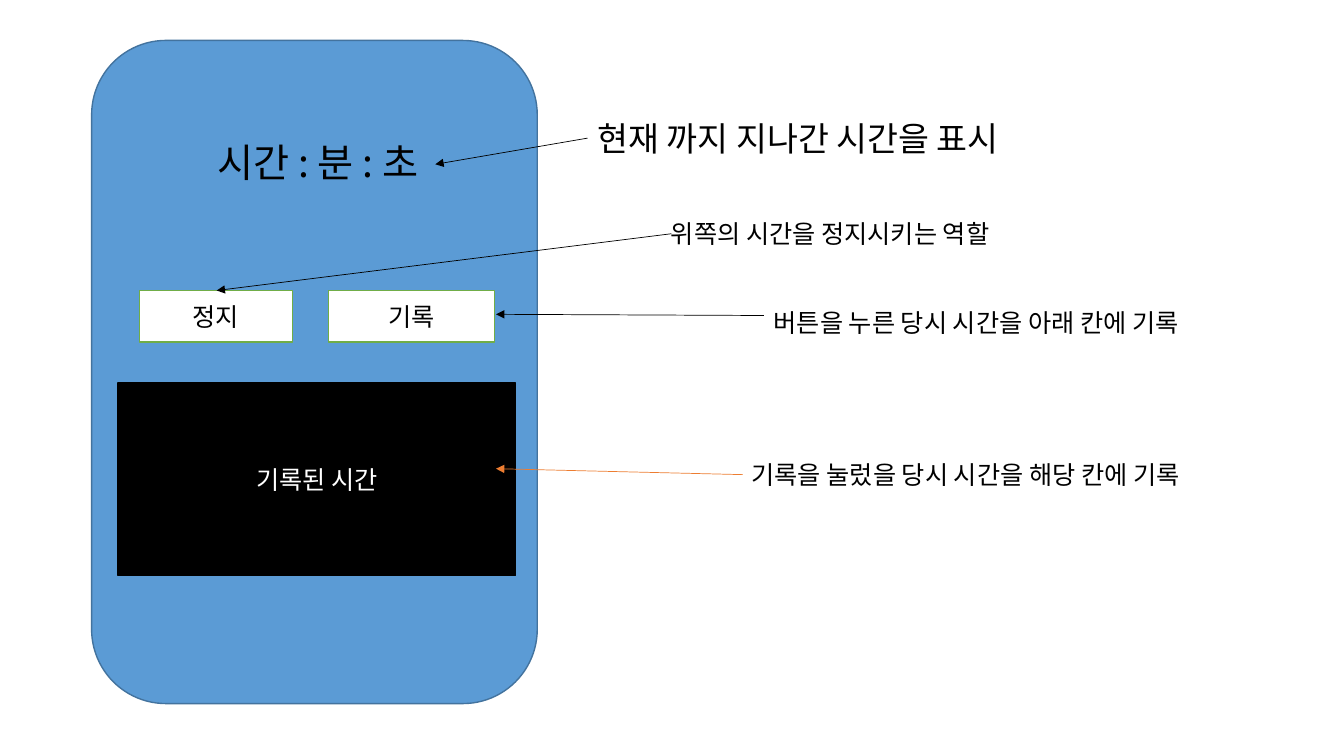
from dataclasses import dataclass

from lxml.etree import SubElement
from pptx import Presentation
from pptx.dml.color import RGBColor
from pptx.enum.shapes import MSO_CONNECTOR as Connector, MSO_SHAPE as Shape
from pptx.enum.text import MSO_ANCHOR as Anchor, PP_ALIGN as Align
from pptx.oxml.ns import qn
from pptx.util import Cm, Pt


@dataclass(frozen=True)
class Theme:
    font: str = "Noto Sans CJK KR"
    black: str = "000000"
    white: str = "FFFFFF"
    phone: str = "5B9BD5"
    phone_edge: str = "43739E"
    button_edge: str = "70AD47"
    accent: str = "ED7D31"
    clock_size: int = 28
    lead_size: int = 24
    body_size: int = 18
    edge_width: float = 1
    arrow_width: float = 0.5


theme = Theme()


def write(shape, text, size, color, align=Align.CENTER):
    shape.text_frame.text = text
    paragraph = shape.text_frame.paragraphs[0]
    paragraph.alignment = align
    run = paragraph.runs[0]
    run.font.name = theme.font
    run.font.size = Pt(size)
    run.font.color.rgb = RGBColor.from_string(color)
    SubElement(run.font._element, qn("a:ea"), typeface=theme.font)


def add_block(kind, box, fill, edge):
    shape = slide.shapes.add_shape(kind, *map(Cm, box))
    shape.shadow.inherit = False
    shape.fill.solid()
    shape.fill.fore_color.rgb = RGBColor.from_string(fill)
    shape.line.color.rgb = RGBColor.from_string(edge)
    shape.line.width = Pt(theme.edge_width)
    return shape


presentation = Presentation()
presentation.slide_width, presentation.slide_height = Cm(33.87), Cm(19.05)
slide = presentation.slides.add_slide(presentation.slide_layouts[6])

# Phone body
add_block(Shape.ROUNDED_RECTANGLE, (2.31, 1.02, 11.23, 16.71), theme.phone, theme.phone_edge)

# Clock
clock = slide.shapes.add_textbox(Cm(4.27), Cm(3.35), Cm(7.47), Cm(1.45))
clock.text_frame.word_wrap = True
write(clock, "시간 : 분 : 초", theme.clock_size, theme.black)

# Buttons and record panel
panels = [
    ("정지", (3.51, 7.32, 3.86, 1.3), theme.white, theme.button_edge, theme.black),
    ("기록", (8.28, 7.32, 4.19, 1.3), theme.white, theme.button_edge, theme.black),
    ("기록된 시간", (2.97, 9.65, 10.03, 4.85), theme.black, theme.black, theme.white),
]
for text, box, fill, edge, color in panels:
    panel = add_block(Shape.RECTANGLE, box, fill, edge)
    panel.text_frame.vertical_anchor = Anchor.MIDDLE
    write(panel, text, theme.body_size, color)

# Notes, each with an arrow to the part it explains
notes = [
    ("현재 까지 지나간 시간을 표시", theme.lead_size, (14.81, 2.84, 11.99, 1.27),
     (14.81, 3.48, 10.97, 4.14), theme.black),
    ("위쪽의 시간을 정지시키는 역할", theme.body_size, (16.66, 5.38, 9.53, 1.02),
     (16.92, 5.89, 5.46, 7.32), theme.black),
    ("버튼을 누른 당시 시간을 아래 칸에 기록", theme.body_size, (19.25, 7.62, 12.14, 1.02),
     (19.25, 7.95, 12.5, 7.92), theme.black),
    ("기록을 눌렀을 당시 시간을 해당 칸에 기록", theme.body_size, (18.69, 11.46, 12.78, 1.02),
     (18.72, 11.96, 12.5, 11.81), theme.accent),
]
for text, size, box, ends, arrow_color in notes:
    arrow = slide.shapes.add_connector(Connector.STRAIGHT, *map(Cm, ends))
    arrow.line.color.rgb = RGBColor.from_string(arrow_color)
    arrow.line.width = Pt(theme.arrow_width)
    SubElement(arrow.line._get_or_add_ln(), qn("a:tailEnd"), type="triangle")
    SubElement(arrow._element.spPr, qn("a:effectLst"))

    note = slide.shapes.add_textbox(*map(Cm, box))
    note.text_frame.word_wrap = False
    write(note, text, size, theme.black, Align.LEFT)

presentation.save("out.pptx")
